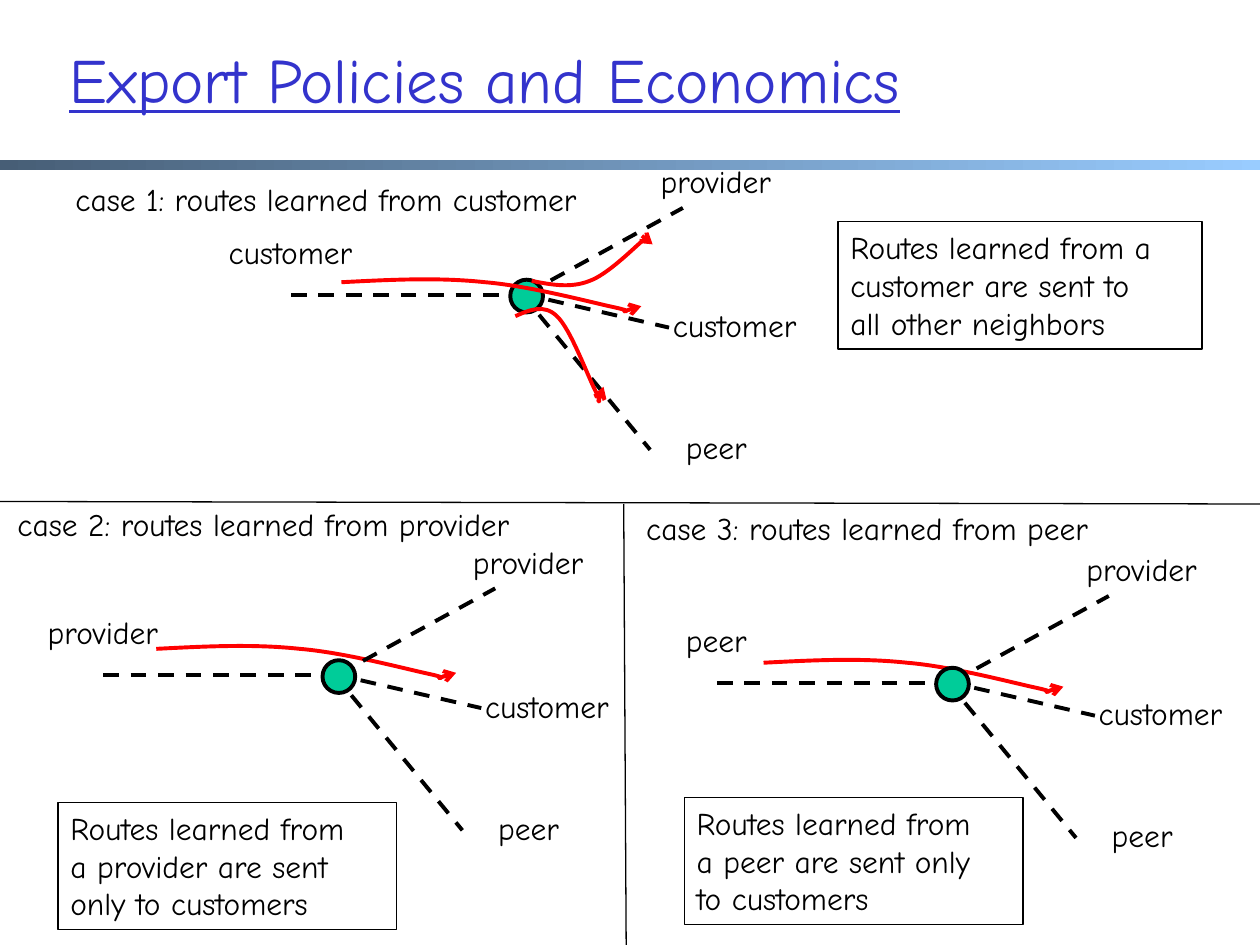
from dataclasses import dataclass

from lxml.etree import SubElement as Sub
from pptx import Presentation
from pptx.dml.color import RGBColor as Rgb
from pptx.enum.dml import MSO_LINE as Dash
from pptx.enum.shapes import MSO_CONNECTOR as Conn, MSO_SHAPE as Form
from pptx.enum.text import MSO_ANCHOR as Anchor, MSO_AUTO_SIZE as Auto, PP_ALIGN as Align
from pptx.oxml.ns import qn
from pptx.util import Inches, Pt

# The slide is a grid of 100 columns and 75 rows; all lengths are in its cells.
COLS, ROWS = 100, 75
CELL = Inches(10) // COLS
HUE = {k: Rgb.from_string(v) for k, v in {
    "ink": "000000", "title": "3333CC", "hub": "00CC99", "route": "FF0000",
    "dark": "475E76", "light": "99CCFF"}.items()}
BODY = {"name": "Comic Neue", "size": Pt(18)}
HEAD = {"name": "Comic Neue", "size": Pt(36), "underline": True, "bold": False}
THICK, THIN = Pt(2.25), Pt(0.75)

Spot = tuple[float, float]

WIDE = {"customer": 12.8, "provider": 11.8, "peer": 7.3}
LABEL = 4
HUB = 2.6
# Spokes run from and to these places, counted from the hub's centre.
SPOKES = [((-18.7, -0.1), (0.3, -0.1)), ((0, -0.2), (12.4, -7)),
          ((-0.4, -0.2), (11.3, 2.5)), ((-0.4, -0.2), (9.8, 12.2))]
# Middle of each label's top edge, counted from the hub's centre.
SOURCE = (-18.75, -5.5)
ENDS = {"provider": (15, -11.1), "customer": (16.5, 0.3), "peer": (15.05, 10)}

# Bezier points, counted from the start of the route.
MAIN = [(0, 0), (3.9, -0.2), (7.7, -0.4), (11.4, 0), (15, 0.3), (19.8, 1.6), (21.7, 2),
        (23.5, 2.4), (22.1, 2.3), (22.5, 2.3), (22.8, 2.2), (22.9, 2.1), (23.8, 1.9)]
RISE = [(0, 0), (1.5, 0.3), (3.1, 0.6), (4.6, 0), (6, -0.5), (8, -2.5), (8.7, -3.1),
        (9.5, -3.7), (8.9, -3.5), (9.1, -3.4), (9.2, -3.4), (9.2, -3.2), (9.6, -2.9)]
FALL = [(0, 0), (1.1, -0.5), (2.3, -1), (3.3, 0), (4.4, 1), (5.8, 4.9), (6.4, 6),
        (6.9, 7.1), (6.5, 6.7), (6.6, 6.7), (6.7, 6.6), (6.7, 6.1), (7, 5.6)]


@dataclass
class Route:
    start: Spot
    bends: list[Spot]


@dataclass
class Case:
    name: str
    head: tuple[float, float, float]
    source: str
    hub: Spot
    routes: list[Route]
    note: str
    box: tuple[float, float, float, float]


CASES = [
    Case("case 1: routes learned from customer", (5, 13.8, 45.6), "customer", (41.8, 23.5),
         [Route((27.1, 22.4), MAIN), Route((42.2, 22.3), RISE), Route((40.9, 25.1), FALL)],
         "Routes learned from a\vcustomer are sent to\vall other neighbors",
         (66.5, 17.6, 28.9, 10.1)),
    Case("case 2: routes learned from provider", (0.4, 39.6, 45), "provider", (26.9, 53.7),
         [Route((12.4, 51.5), MAIN)],
         "Routes learned from\va provider are sent\vonly to customers",
         (4.6, 63.7, 26.9, 10.1)),
    Case("case 3: routes learned from peer", (50.3, 39.9, 40.5), "peer", (75.6, 54.3),
         [Route((60.6, 52.6), MAIN)],
         "Routes learned from\va peer are sent only\vto customers",
         (54.3, 63.3, 26.9, 10.1)),
]


def cells(*nums: float) -> list[int]:
    return [round(n * CELL) for n in nums]


def shift(a: Spot, b: Spot) -> Spot:
    return a[0] + b[0], a[1] + b[1]


def put(item, form: dict) -> None:
    for key, val in form.items():
        setattr(item, key, val)


def write(frame, text: str, font: dict, hue: str, align=Align.LEFT) -> None:
    frame.text = text
    para = frame.paragraphs[0]
    para.alignment = align
    for run in para.runs:
        put(run.font, font)
        run.font.color.rgb = HUE[hue]


def stroke(line, hue: str, width: int) -> None:
    line.color.rgb = HUE[hue]
    line.width = width


def arrow(item) -> None:
    Sub(item.line._get_or_add_ln(), qn("a:tailEnd"), type="arrow")


def link(shapes, start: Spot, end: Spot, width: int, dash=None):
    line = shapes.add_connector(Conn.STRAIGHT, *cells(*start, *end))
    stroke(line.line, "ink", width)
    if dash:
        line.line.dash_style = dash
    Sub(line._element.spPr, qn("a:effectLst"))
    return line


def label(shapes, text: str, x: float, y: float, wide: float, align=Align.CENTER) -> None:
    box = shapes.add_textbox(*cells(x, y, wide, LABEL))
    put(box.text_frame, {"word_wrap": False, "auto_size": Auto.SHAPE_TO_FIT_TEXT})
    write(box.text_frame, text, BODY, "ink", align)


def tag(shapes, word: str, top: Spot) -> None:
    """Write a word centred below a point."""
    wide = WIDE[word]
    label(shapes, word, top[0] - wide / 2, top[1], wide)


def star(shapes, case: Case) -> None:
    """Draw the hub, its spokes and their labels as one group."""
    group = shapes.add_group_shape().shapes
    for i, (start, end) in enumerate(SPOKES):
        line = link(group, shift(case.hub, start), shift(case.hub, end), THICK, Dash.DASH)
        if i == 0:
            arrow(line)
    tag(group, case.source, shift(case.hub, SOURCE))
    for word, place in ENDS.items():
        tag(group, word, shift(case.hub, place))
    x, y = shift(case.hub, (-HUB / 2, -HUB / 2))
    hub = group.add_shape(Form.OVAL, *cells(x, y, HUB, HUB))
    hub.shadow.inherit = False
    hub.fill.solid()
    hub.fill.fore_color.rgb = HUE["hub"]
    stroke(hub.line, "ink", THICK)


def curve(shapes, route: Route) -> None:
    """Draw a route, turning each three line steps into one Bezier step."""
    dots = [cells(*shift(route.start, bend)) for bend in route.bends]
    pen = shapes.build_freeform(*dots[0])
    pen.add_line_segments(dots[1:], close=False)
    item = pen.convert_to_shape()
    steps = list(item._element.iter(qn("a:lnTo")))
    track = steps[0].getparent()
    for i in range(0, len(steps), 3):
        bend = Sub(track, qn("a:cubicBezTo"))
        for step in steps[i:i + 3]:
            bend.append(step[0])
            track.remove(step)
    item.shadow.inherit = False
    item.fill.background()
    stroke(item.line, "route", THICK)
    arrow(item)


def note(shapes, case: Case) -> None:
    box = shapes.add_shape(Form.RECTANGLE, *cells(*case.box))
    box.shadow.inherit = False
    box.fill.background()
    stroke(box.line, "ink", THIN)
    put(box.text_frame, {"word_wrap": True, "vertical_anchor": Anchor.TOP})
    write(box.text_frame, case.note, BODY, "ink")


def band(shapes) -> None:
    bar = shapes.add_shape(Form.RECTANGLE, *cells(0, 12.7, COLS, 0.8))
    bar.shadow.inherit = False
    bar.line.fill.background()
    bar.fill.gradient()
    bar.fill.gradient_angle = 0
    for stop, hue in zip(bar.fill.gradient_stops, ("dark", "light")):
        stop.color.rgb = HUE[hue]


def main() -> None:
    deck = Presentation()
    put(deck, dict(zip(("slide_width", "slide_height"), cells(COLS, ROWS))))
    shapes = deck.slides.add_slide(deck.slide_layouts[5]).shapes
    title = shapes.title
    put(title, dict(zip(("left", "top", "width", "height"), cells(4.5, 0, 85, 12.5))))
    title.text_frame.vertical_anchor = Anchor.MIDDLE
    write(title.text_frame, "Export Policies and Economics", HEAD, "title")
    band(shapes)

    first, *rest = CASES
    star(shapes, first)
    for case in CASES:
        for route in case.routes:
            curve(shapes, route)
    for case in rest:
        star(shapes, case)
    for case in CASES:
        note(shapes, case)
    link(shapes, (0, 39.8), (COLS, 40), THIN)
    link(shapes, (49.5, 40), (49.7, ROWS), THIN)
    for case in CASES:
        label(shapes, case.name, *case.head, Align.LEFT)
    deck.save("out.pptx")


if __name__ == "__main__":
    main()
